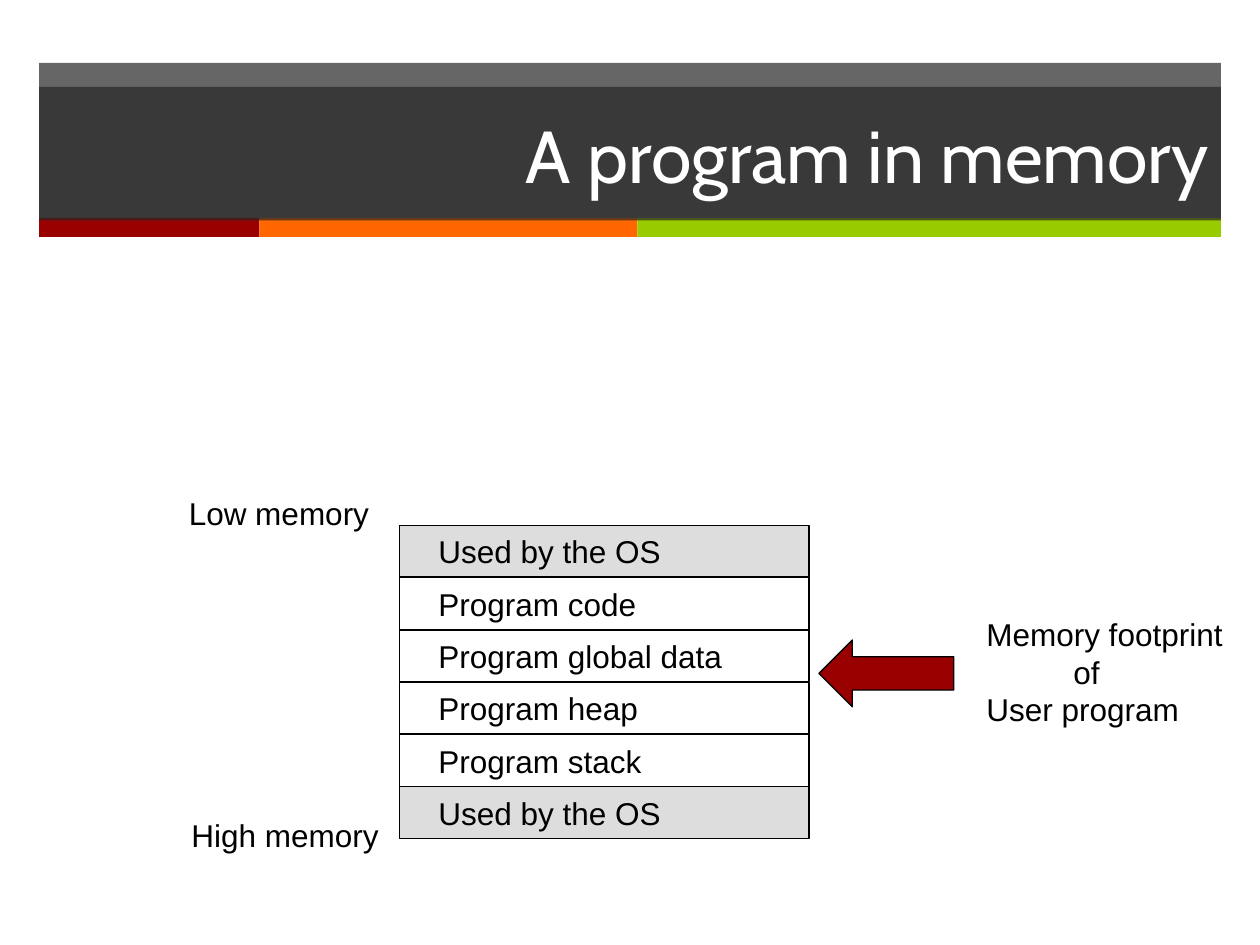
from dataclasses import dataclass

from lxml.etree import SubElement
from pptx import Presentation
from pptx.dml.color import RGBColor as Rgb
from pptx.enum.shapes import MSO_SHAPE as Shape
from pptx.enum.text import MSO_ANCHOR as Anchor, MSO_AUTO_SIZE as AutoSize, PP_ALIGN as Align
from pptx.oxml.ns import qn
from pptx.util import Inches, Pt


@dataclass(frozen=True)
class Theme:
    dark: str = "262626"
    red: str = "990000"
    orange: str = "FF6600"
    green: str = "99CC00"
    grey: str = "DDDDDD"
    black: str = "000000"
    white: str = "FFFFFF"
    title_font: str = "Cabin"
    body_font: str = "Arial"
    title_size: int = 42
    body_size: int = 18
    band_opacity: int = 70


THEME = Theme()

TITLE = "A program in memory"
STRIPES = [(THEME.red, 1.75), (THEME.orange, 3), (THEME.green, 4.63)]
MEMORY = [
    ("Used by the OS", THEME.grey),
    ("Program code", None),
    ("Program global data", None),
    ("Program heap", None),
    ("Program stack", None),
    ("Used by the OS", THEME.grey),
]
# Each label: left, top, width, height, lines of (text, indent)
LABELS = [
    (1.4, 3.87, 1.63, 0.4, [("Low memory", 0)]),
    (1.42, 6.43, 1.69, 0.4, [("High memory", 0)]),
    (7.73, 4.83, 2.08, 1, [("Memory footprint", 0), ("of", 0.69), ("User program", 0)]),
]

SLIDE_W, SLIDE_H = 10, 7.5
BAND_LEFT, BAND_W = 0.31, 9.38
STACK_LEFT, STACK_W = 3.17, 3.25
STACK_TOP, STACK_BOTTOM = 4.17, 6.66
ROW_H = 0.41


def paint(shape, color, opacity=100):
    if color is None:
        shape.fill.background()
        return
    shape.fill.solid()
    shape.fill.fore_color.rgb = Rgb.from_string(color)
    if opacity < 100:
        tint = shape.element.spPr.find(qn("a:solidFill"))[0]
        SubElement(tint, qn("a:alpha"), val=str(opacity * 1000))


def add_block(page, kind, place, color, outlined=False, opacity=100):
    shape = page.shapes.add_shape(kind, *map(Inches, place))
    shape.shadow.inherit = False
    paint(shape, color, opacity)
    if outlined:
        shape.line.color.rgb = Rgb.from_string(THEME.black)
        shape.line.width = Pt(0.75)
    else:
        shape.line.fill.background()
    return shape


def write(para, text, font=THEME.body_font, size=THEME.body_size,
          color=THEME.black, align=Align.LEFT):
    para.alignment = align
    span = para.add_run()
    span.text = text
    span.font.name = font
    span.font.size = Pt(size)
    span.font.color.rgb = Rgb.from_string(color)


def add_band(page):
    add_block(page, Shape.RECTANGLE, (BAND_LEFT, 0.5, BAND_W, 1.24),
              THEME.dark, opacity=THEME.band_opacity)
    left = BAND_LEFT
    for color, width in STRIPES:
        add_block(page, Shape.RECTANGLE, (left, 1.73, width, 0.15), color)
        left += width


def add_memory_stack(page):
    pitch = (STACK_BOTTOM - STACK_TOP) / len(MEMORY)
    for row, (text, color) in enumerate(MEMORY):
        place = (STACK_LEFT, STACK_TOP + row * pitch, STACK_W, ROW_H)
        box = add_block(page, Shape.RECTANGLE, place, color, outlined=True)
        frame = box.text_frame
        frame.margin_left = Inches(0.31)
        frame.vertical_anchor = Anchor.MIDDLE
        write(frame.paragraphs[0], text)


def add_labels(page):
    for *place, lines in LABELS:
        frame = page.shapes.add_textbox(*map(Inches, place)).text_frame
        frame.word_wrap = False
        for number, (text, indent) in enumerate(lines):
            para = frame.add_paragraph() if number else frame.paragraphs[0]
            if indent:
                para._p.get_or_add_pPr().set("marL", str(Inches(indent)))
            write(para, text)


def set_title(page):
    title = page.shapes.title
    title.left, title.top, title.width, title.height = map(
        Inches, (BAND_LEFT, 0.69, BAND_W, 1.06))
    paint(title, THEME.dark, THEME.band_opacity)
    frame = title.text_frame
    frame.auto_size = AutoSize.NONE
    frame.vertical_anchor = Anchor.MIDDLE
    write(frame.paragraphs[0], TITLE, THEME.title_font, THEME.title_size,
          THEME.white, Align.RIGHT)
    page.shapes.element.append(title.element)  # bring to front


def main():
    deck = Presentation()
    deck.slide_width, deck.slide_height = Inches(SLIDE_W), Inches(SLIDE_H)
    page = deck.slides.add_slide(deck.slide_layouts[5])
    add_band(page)
    add_memory_stack(page)
    add_labels(page)
    add_block(page, Shape.LEFT_ARROW, (6.5, 5.08, 1.07, 0.53), THEME.red, outlined=True)
    set_title(page)
    deck.save("out.pptx")


if __name__ == "__main__":
    main()
